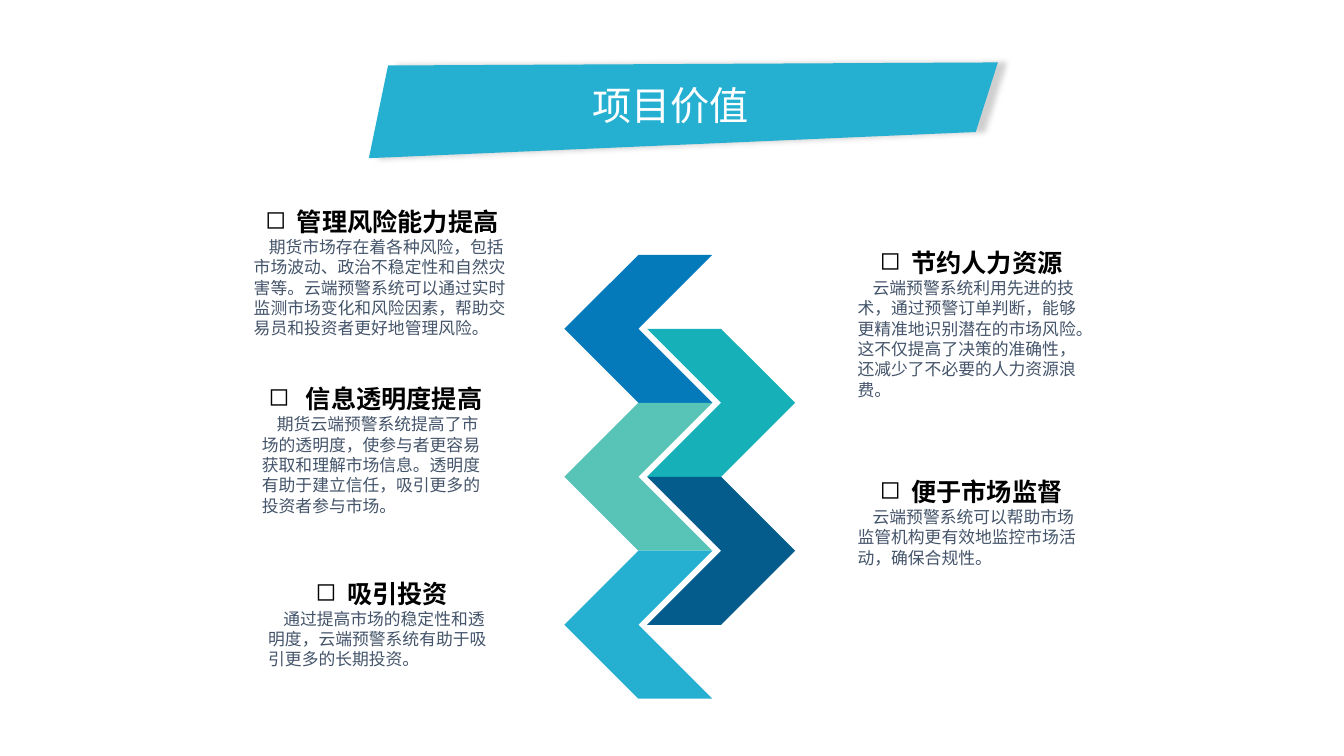
from dataclasses import dataclass

from lxml import etree
from pptx import Presentation
from pptx.dml.color import RGBColor
from pptx.enum.shapes import MSO_SHAPE
from pptx.enum.text import PP_ALIGN
from pptx.oxml import parse_xml
from pptx.oxml.ns import nsdecls, qn
from pptx.util import Pt

CHEVRON = MSO_SHAPE.CHEVRON
CENTER = PP_ALIGN.CENTER
LEFT = PP_ALIGN.LEFT


@dataclass(frozen=True)
class Theme:
    font: str = "Noto Sans CJK SC"
    sky: str = "25B0D2"
    blue: str = "047ABA"
    mint: str = "58C4B8"
    teal: str = "15B0B8"
    navy: str = "035C8B"
    white: str = "FFFFFF"
    black: str = "000000"
    slate: str = "44546A"
    title: int = 28
    head: int = 18
    body: int = 12


THEME = Theme()
# Line height for each type size
LEAD = {THEME.title: 34, THEME.head: 22, THEME.body: 14.5}

BANNER = [(277.2, 46.8), (263.5, 113), (697, 94.3), (712.8, 44.6)]
SIDE = 105.7
LEFT_X, RIGHT_X, TOP = 403.2, 462.2, 182
NARROW, WIDE = 176.4, 197.3

# left, top, width, height, heading, body
NOTES = [
    (174.2, 146.9, WIDE, 126, "管理风险能力提高",
     "期货市场存在着各种风险，包括市场波动、政治不稳定性和自然灾害等。"
     "云端预警系统可以通过实时监测市场变化和风险因素，帮助交易员和投资者更好地管理风险。"),
    (180, 273.6, NARROW, 114.5, " 信息透明度提高",
     "期货云端预警系统提高了市场的透明度，使参与者更容易获取和理解市场信息。"
     "透明度有助于建立信任，吸引更多的投资者参与市场。"),
    (184.5, 412.6, NARROW, 81.4, "吸引投资",
     "通过提高市场的稳定性和透明度，云端预警系统有助于吸引更多的长期投资。"),
    (605.5, 176.4, NARROW, 125.3, "节约人力资源",
     "云端预警系统利用先进的技术，通过预警订单判断，能够更精准地识别潜在的市场风险。"
     "这不仅提高了决策的准确性，还减少了不必要的人力资源浪费。"),
    (605.5, 339.8, NARROW, 72.7, "便于市场监督",
     "云端预警系统可以帮助市场监管机构更有效地监控市场活动，确保合规性。"),
]


def paint(shape, color):
    shape.shadow.inherit = False
    shape.fill.solid()
    shape.fill.fore_color.rgb = RGBColor.from_string(color)
    shape.line.fill.background()


def add_banner(slide):
    pts = [(Pt(x), Pt(y)) for x, y in BANNER]
    pen = slide.shapes.build_freeform(*pts[0])
    pen.add_line_segments(pts[1:], close=True)
    shape = pen.convert_to_shape()
    paint(shape, THEME.sky)
    glow = shape.element.spPr.find(qn("a:effectLst"))
    glow.append(parse_xml(
        f'<a:outerShdw {nsdecls("a")} blurRad="{Pt(4)}" dist="{Pt(6)}" dir="0"'
        ' algn="l" rotWithShape="0"><a:srgbClr val="000000">'
        '<a:alpha val="19000"/></a:srgbClr></a:outerShdw>'))


def add_arrow(slide, x, y, color, flip):
    shape = slide.shapes.add_shape(CHEVRON, Pt(x), Pt(y), Pt(SIDE), Pt(SIDE))
    paint(shape, color)
    if flip:
        shape.element.spPr.get_or_add_xfrm().set("flipH", "1")


def add_frame(slide, x, y, w, h, **form):
    box = slide.shapes.add_textbox(Pt(x), Pt(y), Pt(w), Pt(h))
    frame = box.text_frame
    for name, value in form.items():
        setattr(frame, name, value)
    return frame


def write(para, text, size, color, bold=False, align=LEFT):
    para.alignment = align
    para.line_spacing = Pt(LEAD[size])
    run = para.add_run()
    run.text = text
    form = {"size": Pt(size), "bold": bold, "name": THEME.font}
    for name, value in form.items():
        setattr(run.font, name, value)
    run.font.color.rgb = RGBColor.from_string(color)
    mark = etree.SubElement(run.font._element, qn("a:ea"))
    mark.set("typeface", THEME.font)


def indent(para, margin, first, bullet=None):
    props = para._p.get_or_add_pPr()
    props.set("marL", str(Pt(margin)))
    props.set("indent", str(Pt(first)))
    if bullet:
        etree.SubElement(props, qn("a:buChar")).set("char", bullet)


def add_note(slide, x, y, w, h, head, body):
    frame = add_frame(slide, x, y, w, h, word_wrap=True,
                      margin_top=0, margin_bottom=0)
    top = frame.paragraphs[0]
    write(top, head, THEME.head, THEME.black, bold=True, align=CENTER)
    indent(top, 22.5, -22.5, "◻")
    para = frame.add_paragraph()
    write(para, body, THEME.body, THEME.slate)
    indent(para, 0, 10.75)


def main():
    deck = Presentation()
    deck.slide_width, deck.slide_height = Pt(960), Pt(540)
    slide = deck.slides.add_slide(deck.slide_layouts[6])

    add_banner(slide)
    title = add_frame(slide, 416.2, 54, 127.4, 41, word_wrap=False)
    write(title.paragraphs[0], "项目价值", THEME.title, THEME.white)

    for i, color in enumerate((THEME.teal, THEME.navy)):
        add_arrow(slide, RIGHT_X, TOP + (i + 0.5) * SIDE, color, False)
    for i, color in enumerate((THEME.blue, THEME.mint, THEME.sky)):
        add_arrow(slide, LEFT_X, TOP + i * SIDE, color, True)

    for note in NOTES:
        add_note(slide, *note)
    deck.save("out.pptx")


if __name__ == "__main__":
    main()
